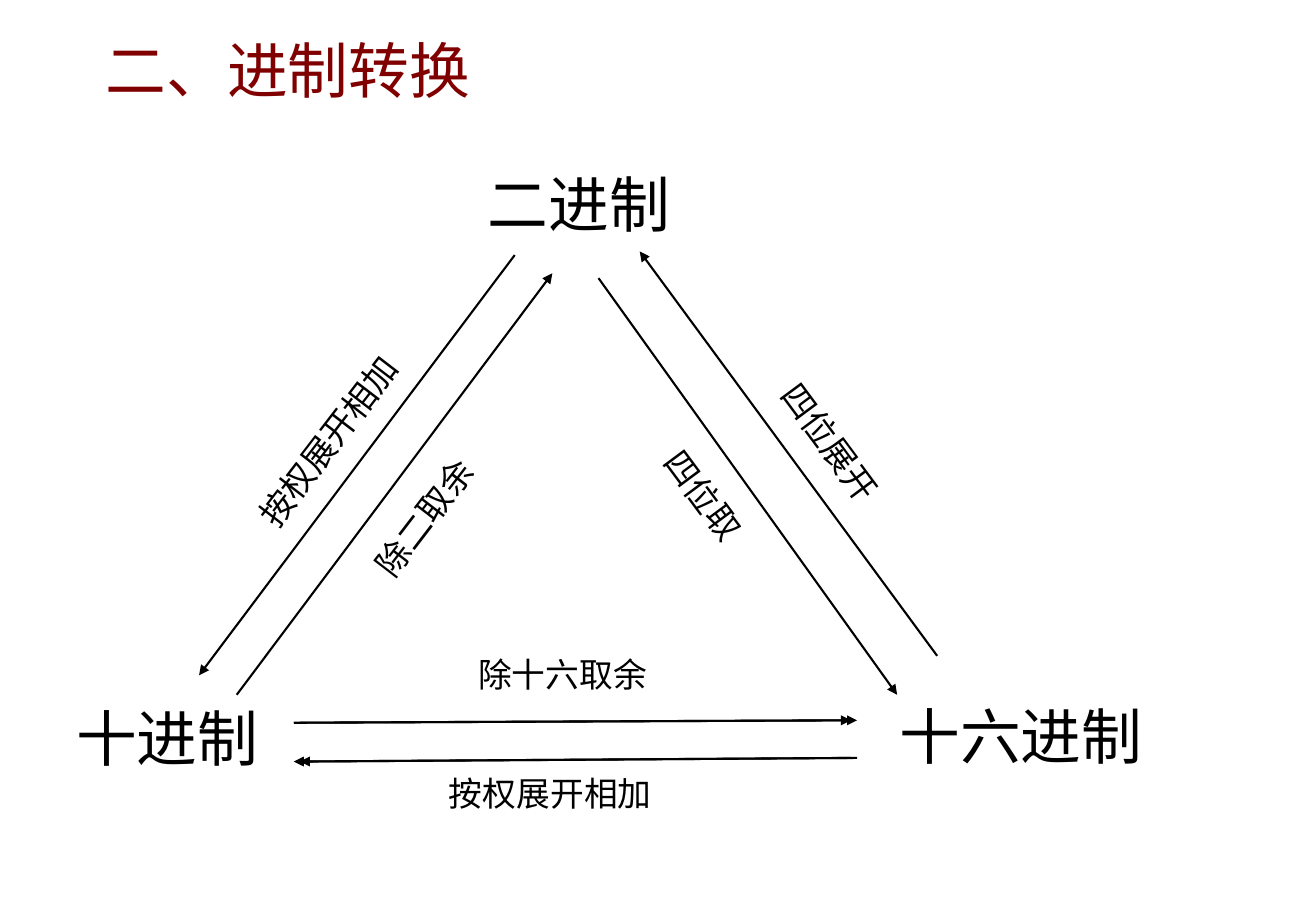
from pptx import Presentation
from pptx.dml.color import RGBColor
from pptx.enum.shapes import MSO_CONNECTOR as Connector
from pptx.enum.text import MSO_ANCHOR as Anchor, MSO_AUTO_SIZE as AutoSize, PP_ALIGN as Align
from pptx.oxml.ns import qn
from pptx.util import Inches, Pt
from lxml.etree import SubElement

COLORS = {"title": "800000", "ink": "000000"}
FONT = "Arial"
LABEL_SIZE = (2.65, 0.44)

BASES = [
    ("二进制", 3.42, 0.02, 2.01),
    ("十进制", 0.03, 4.42, 2.01),
    ("十六进制", 6.81, 4.4, 2.42),
]
METHODS = [
    ("按权展开相加", 1.12, 1.8, 307.5),
    ("除二取余", 2.08, 2.21, 307.5),
    ("按权展开相加", 3.1, 5.01, 0),
    ("除十六取余", 3.34, 4.03, 0),
    ("四位展开", 5.41, 2.66, 53.5),
    ("四位取", 4.45, 3.21, 53.5),
]
SLANTED_ARROWS = [
    ((4.05, 0.95), (1.45, 4.42)),
    ((1.14, 4.26), (3.74, 0.8)),
    ((6.89, 4.42), (4.43, 0.99)),
    ((4.77, 0.77), (7.22, 4.1)),
]
LEVEL_ARROWS = [
    ((1.92 + shift, 4.97), (6.51 + shift, 4.94)) for shift in (0, 0.05)
] + [
    ((6.51 + shift, 4.63), (1.92 + shift, 4.65)) for shift in (0, 0.05)
]


def write(shape, text, size, color):
    frame = shape.text_frame
    frame.text = text
    frame.word_wrap = True
    frame.auto_size = AutoSize.SHAPE_TO_FIT_TEXT
    frame.vertical_anchor = Anchor.TOP
    para = frame.paragraphs[0]
    para.alignment = Align.LEFT
    span = para.runs[0]
    span.font.name = FONT
    span.font.size = Pt(size)
    span.font.color.rgb = RGBColor.from_string(COLORS[color])


def add_label(page, text, size, left, top, width, height, rotation=0):
    box = page.shapes.add_textbox(*map(Inches, (left, top, width, height)))
    box.rotation = rotation
    write(box, text, size, "ink")


def add_arrow(page, tip, start):
    arrow = page.shapes.add_connector(Connector.STRAIGHT, *map(Inches, tip + start))
    arrow.line.color.rgb = RGBColor.from_string(COLORS["ink"])
    arrow.line.width = Pt(1.25)
    SubElement(arrow.line._get_or_add_ln(), qn("a:headEnd"), type="triangle")
    SubElement(arrow._element.spPr, qn("a:effectLst"))


def build_title(page, left, top, width, height):
    title = page.shapes.title
    title.left, title.top = Inches(left), Inches(top)
    title.width, title.height = Inches(width), Inches(height)
    write(title, "二、进制转换", 36, "title")


def build_conversion_triangle(page, left, top):
    for tip, start in LEVEL_ARROWS + SLANTED_ARROWS:
        add_arrow(page, (left + tip[0], top + tip[1]), (left + start[0], top + start[1]))
    for text, x, y, width in BASES:
        add_label(page, text, 36, left + x, top + y, width, 0.7)
    for text, x, y, rotation in METHODS:
        add_label(page, text, 20, left + x, top + y, *LABEL_SIZE, rotation)


def main():
    deck = Presentation()
    deck.slide_width, deck.slide_height = Inches(10.84), Inches(7.5)
    page = deck.slides.add_slide(deck.slide_layouts[5])
    build_title(page, 0.77, 0.22, 7.4, 0.7)
    build_conversion_triangle(page, 0.5, 1.3)
    deck.save("out.pptx")


if __name__ == "__main__":
    main()
